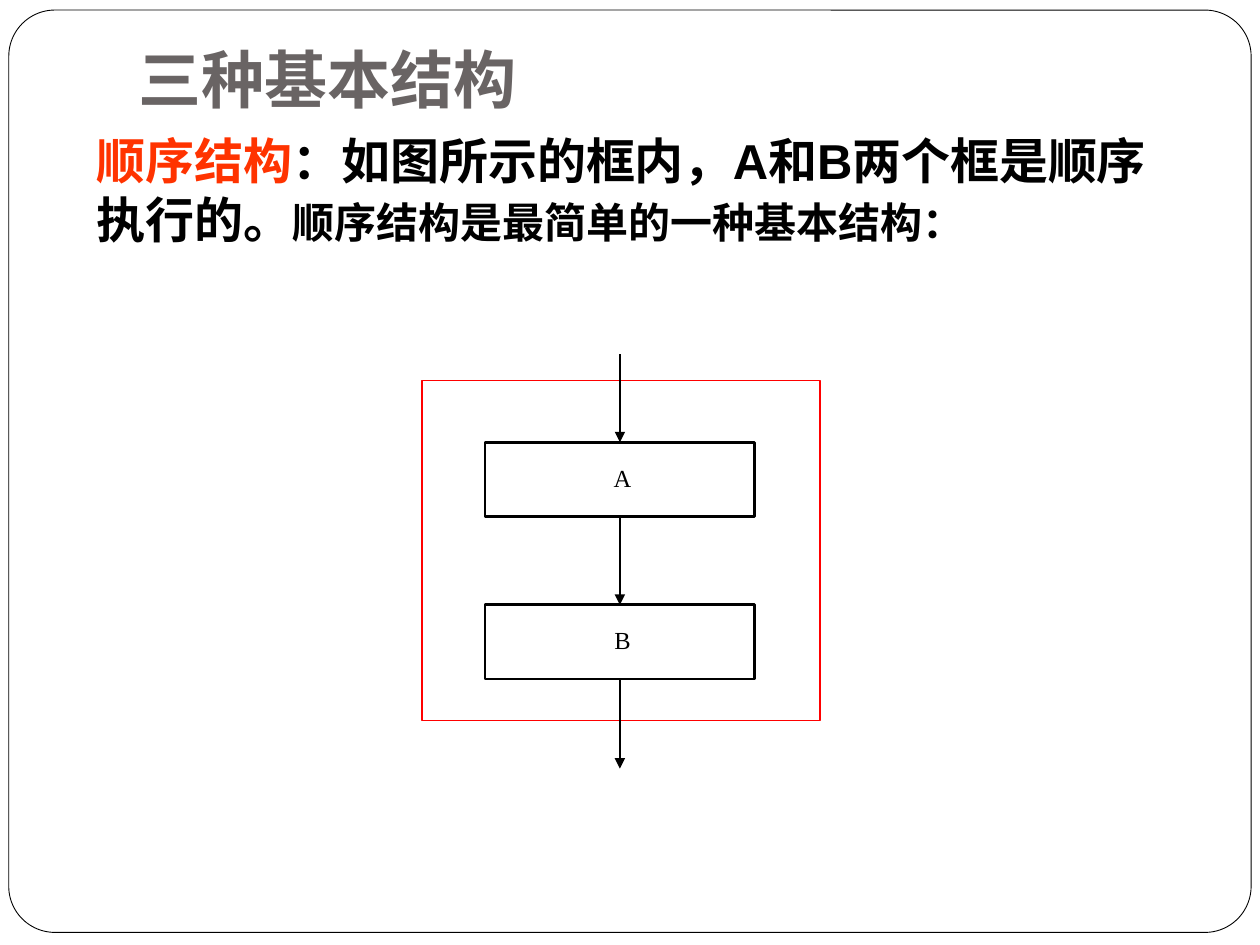
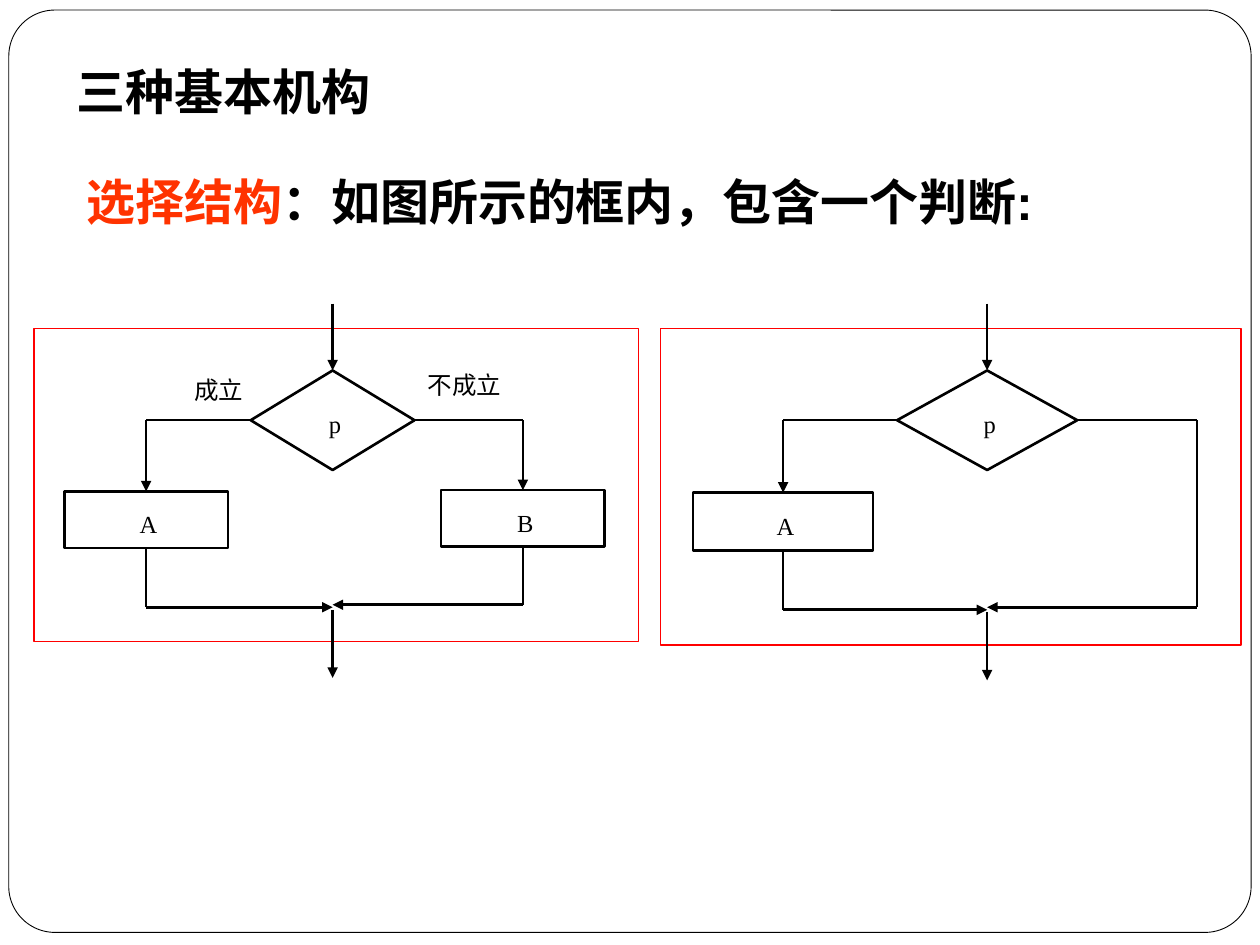
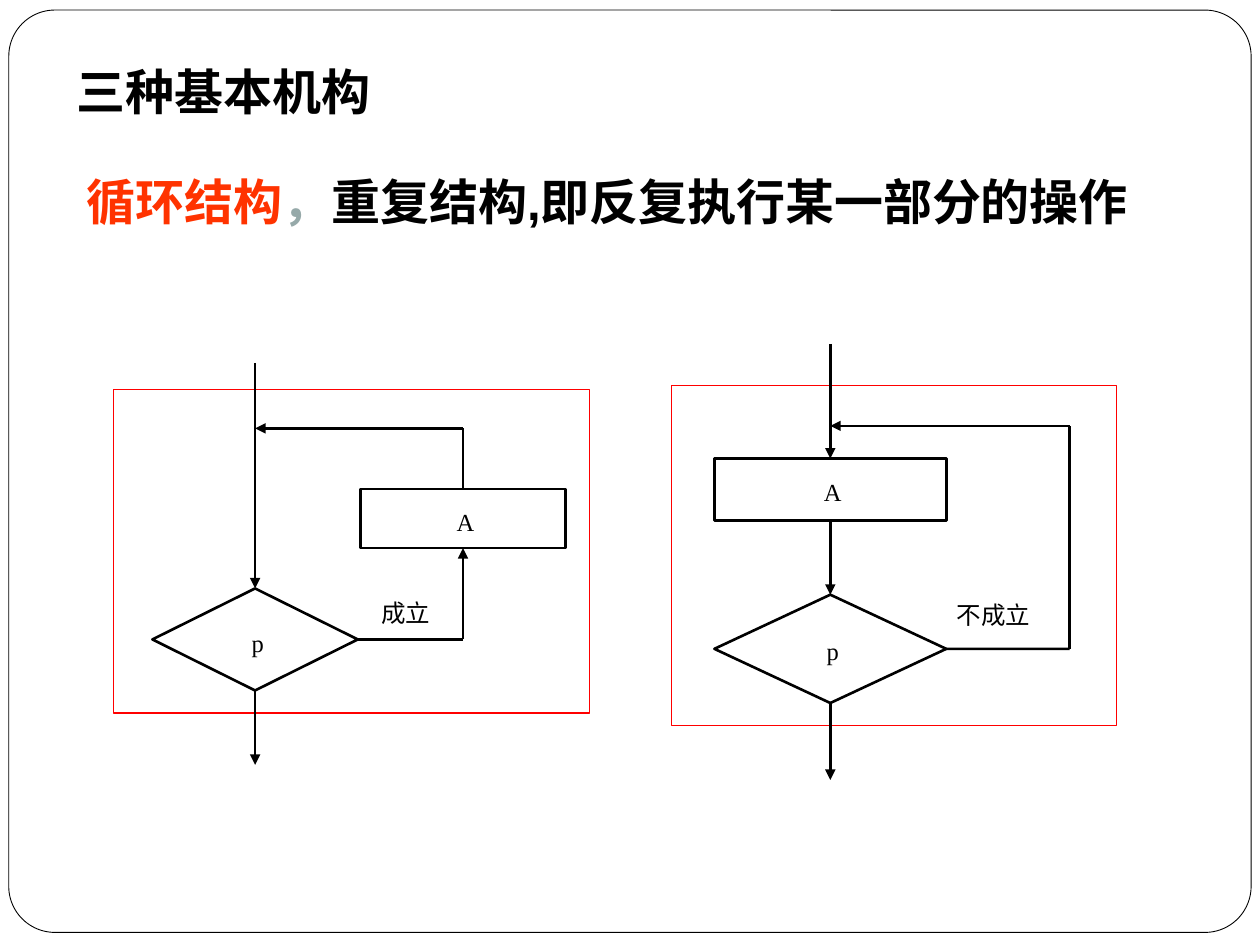
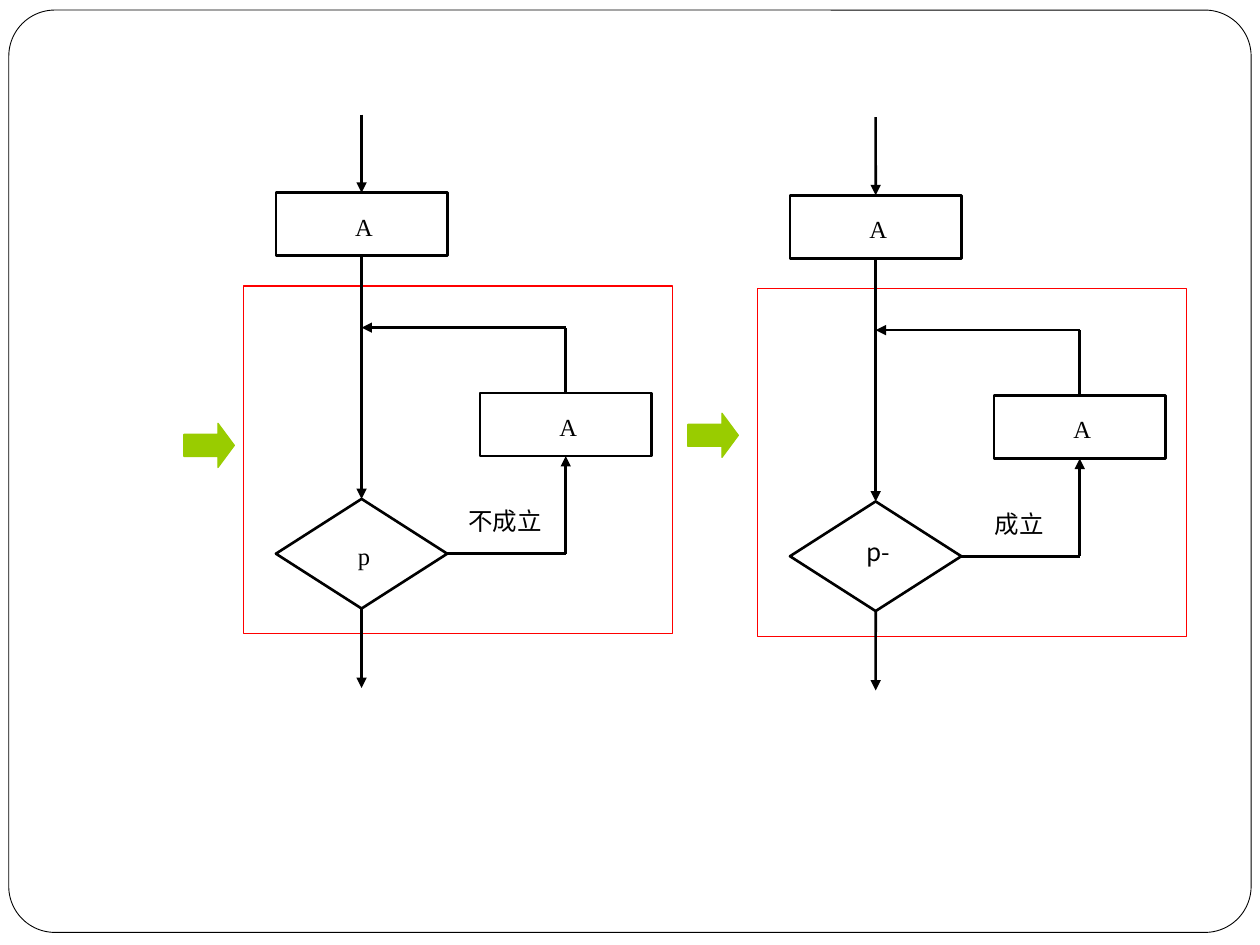
from dataclasses import dataclass
from typing import Any, NamedTuple, Optional

from lxml.etree import SubElement
from pptx import Presentation
from pptx.dml.color import RGBColor
from pptx.enum.shapes import MSO_CONNECTOR, MSO_SHAPE
from pptx.enum.text import MSO_ANCHOR, MSO_AUTO_SIZE, PP_ALIGN
from pptx.oxml.ns import qn
from pptx.util import Inches, Pt


@dataclass(frozen=True)
class Theme:
    ink: str = "000000"
    paper: str = "FFFFFF"
    title: str = "696464"
    key: str = "FF3300"
    pale: str = "96A9A9"
    frame: str = "FF0000"
    arrow: str = "99CC00"
    head: float = 36
    body: float = 28
    small: float = 24
    label: float = 14
    thin: float = 0.5
    fine: float = 0.75
    bold: float = 1.5
    head_font: str = "Cabin"
    body_font: str = "Arial"
    sign_font: str = "Times New Roman"
    han_font: str = "Noto Sans CJK SC"


THEME = Theme()


class Box(NamedTuple):
    x: float
    y: float
    w: float
    h: float

    def move(self, dx: float, dy: float) -> "Box":
        return Box(self.x + dx, self.y + dy, self.w, self.h)

    def emu(self) -> list:
        return [Inches(n) for n in self]


class Run(NamedTuple):
    text: str
    color: str = THEME.ink
    size: float = THEME.body


class Spot(NamedTuple):
    """A point of a wire, joined to a shape when one is given."""
    x: float
    y: float
    shape: Any = None
    site: int = 0


@dataclass
class Block:
    box: Box
    shape: Any

    @property
    def x(self) -> float:
        return self.box.x + self.box.w / 2

    @property
    def y(self) -> float:
        return self.box.y + self.box.h / 2

    @property
    def top(self) -> Spot:
        return Spot(self.x, self.box.y, self.shape, 0)

    @property
    def left(self) -> Spot:
        return Spot(self.box.x, self.y, self.shape, 1)

    @property
    def low(self) -> Spot:
        return Spot(self.x, self.box.y + self.box.h, self.shape, 2)

    @property
    def right(self) -> Spot:
        return Spot(self.box.x + self.box.w, self.y, self.shape, 3)


def rgb(color: str) -> RGBColor:
    return RGBColor.from_string(color)


def write(slide, box: Box, *runs: Run, font: str = THEME.body_font,
          bold: bool = False, align=PP_ALIGN.LEFT, wrap: bool = True,
          fit: bool = False, anchor=MSO_ANCHOR.TOP, foot: float = 0.05) -> None:
    frame = slide.shapes.add_textbox(*box.emu()).text_frame
    frame.word_wrap = wrap
    frame.auto_size = MSO_AUTO_SIZE.SHAPE_TO_FIT_TEXT if fit else MSO_AUTO_SIZE.NONE
    frame.vertical_anchor = anchor
    frame.margin_bottom = Inches(foot)
    para = frame.paragraphs[0]
    para.alignment = align
    for item in runs:
        run = para.add_run()
        run.text = item.text
        run.font.size = Pt(item.size)
        run.font.bold = bold
        run.font.color.rgb = rgb(item.color)
        run.font.name = font
        SubElement(run.font._element, qn("a:ea"), typeface=THEME.han_font)


def draw(slide, kind, box: Box, *, fill: str = THEME.paper,
         line: str = THEME.ink, width: float = THEME.bold):
    shape = slide.shapes.add_shape(kind, *box.emu())
    shape.shadow.inherit = False
    shape.fill.solid()
    shape.fill.fore_color.rgb = rgb(fill)
    shape.line.color.rgb = rgb(line)
    shape.line.width = Pt(width)
    return shape


def fence(slide, box: Box) -> None:
    """Draw the red outline around one structure."""
    draw(slide, MSO_SHAPE.RECTANGLE, box, line=THEME.frame, width=THEME.fine)


def note(slide, box: Box, text: str, font: str = THEME.han_font) -> None:
    write(slide, box, Run(text, size=THEME.label), font=font,
          align=PP_ALIGN.CENTER, wrap=False)


def block(slide, box: Box, text: str, kind=MSO_SHAPE.RECTANGLE,
          tag: tuple = (0.24, 0.32), font: str = THEME.sign_font) -> Block:
    """Draw a flow chart box with its label centred on it."""
    made = Block(box, draw(slide, kind, box))
    wide, tall = tag
    note(slide, Box(made.x - wide / 2 + 0.02, made.y - tall / 2 + 0.01, wide, tall),
         text, font)
    return made


def test(slide, box: Box, text: str = "p", **style) -> Block:
    return block(slide, box, text, MSO_SHAPE.DIAMOND, **style)


def wire(slide, *spots: Spot) -> None:
    """Draw straight lines through the spots, with an arrowhead at the last."""
    for start, end in zip(spots, spots[1:]):
        link = slide.shapes.add_connector(
            MSO_CONNECTOR.STRAIGHT, Inches(start.x), Inches(start.y),
            Inches(end.x), Inches(end.y))
        link.line.color.rgb = rgb(THEME.ink)
        link.line.width = Pt(THEME.bold)
        if start.shape is not None:
            link.begin_connect(start.shape, start.site)
        if end.shape is not None:
            link.end_connect(end.shape, end.site)
        props = link.element.spPr
        if end is spots[-1]:
            SubElement(props.find(qn("a:ln")), qn("a:tailEnd"), type="triangle")
        SubElement(props, qn("a:effectLst"))


def branch(slide, fork: Block, yes: Block, no: Optional[Block],
           side: float, base: float) -> None:
    """Wire a choice whose two ways meet below the fork, at base."""
    wire(slide, Spot(fork.x, 2.41), fork.top)
    wire(slide, fork.left, Spot(yes.x, fork.y), yes.top)
    wire(slide, yes.low, Spot(yes.x, base), Spot(fork.x, base))
    bend, meet = Spot(side, base - 0.02), Spot(fork.x, base - 0.02)
    if no:
        wire(slide, fork.right, Spot(side, fork.y), no.top)
        wire(slide, no.low, bend, meet)
    else:
        wire(slide, fork.right, Spot(side, fork.y), bend, meet)
    wire(slide, Spot(fork.x, base + 0.02), Spot(fork.x, base + 0.56))


def loop(slide, start: Spot, fork: Block, body: Block,
         back: float, end: float) -> None:
    """Wire a loop that tests first and returns at height back."""
    wire(slide, start, fork.top)
    wire(slide, fork.right, Spot(body.x, fork.y), body.low)
    wire(slide, body.top, Spot(body.x, back), Spot(fork.x, back))
    wire(slide, fork.low, Spot(fork.x, end))


def heads(slide, *runs: Run) -> None:
    write(slide, Box(0.51, 0.44, 4.49, 0.57), Run("三种基本机构"), bold=True, fit=True)
    write(slide, Box(0.59, 1.31, 8.9, 0.57), *runs, bold=True, fit=True)


def border(deck, slide) -> None:
    """Put the rounded page border on the master."""
    shape = draw(slide, MSO_SHAPE.ROUNDED_RECTANGLE, Box(0.07, 0.08, 9.86, 7.32),
                 width=THEME.thin)
    shape.adjustments[0] = 0.05
    shape.element.nvSpPr.cNvPr.id = 99
    deck.slide_master.shapes.element.append(shape.element)


def sequence(slide) -> None:
    write(slide, Box(1, 0.3, 8.5, 1.25), Run("三种基本结构", THEME.title, THEME.head),
          font=THEME.head_font, bold=True, anchor=MSO_ANCHOR.BOTTOM, foot=0.63)
    write(slide, Box(0.67, 0.99, 8.9, 1.03), Run("顺序结构", THEME.key),
          Run("：如图所示的框内，A和B两个框是顺序执行的。"),
          Run("顺序结构是最简单的一种基本结构：", size=THEME.small),
          bold=True, fit=True)
    fence(slide, Box(3.35, 3.02, 3.16, 2.7))
    first, last = [block(slide, Box(3.85, y, 2.14, 0.59), text, tag=(0.38, 0.38))
                   for y, text in ((3.51, "A"), (4.8, "B"))]
    wire(slide, Spot(first.x, 2.81), first.top)
    wire(slide, first.low, last.top)
    wire(slide, last.low, Spot(last.x, 6.1))


def choice(slide) -> None:
    heads(slide, Run("选择结构", THEME.key), Run("：如图所示的框内，包含一个判断:"))
    tag = (0.23, 0.29)
    fence(slide, Box(0.27, 2.61, 4.8, 2.48))
    fork = test(slide, Box(1.99, 2.94, 1.3, 0.79), tag=tag)
    yes = block(slide, Box(0.51, 3.9, 1.3, 0.45), "A", tag=tag)
    no = block(slide, Box(3.5, 3.89, 1.3, 0.45), "B", tag=tag)
    branch(slide, fork, yes, no, no.x, 4.82)
    note(slide, Box(3.29, 2.89, 0.79, 0.29), "不成立")
    note(slide, Box(1.48, 2.93, 0.51, 0.29), "成立")

    fence(slide, Box(5.24, 2.61, 4.61, 2.51))
    fork = test(slide, Box(7.12, 2.94, 1.43, 0.79), tag=tag)
    yes = block(slide, Box(5.5, 3.91, 1.43, 0.46), "A", tag=tag)
    branch(slide, fork, yes, None, 9.5, 4.84)


def repeat(slide) -> None:
    heads(slide, Run("循环结构", THEME.key), Run("，", THEME.pale),
          Run("重复结构,即反复执行某一部分的操作"))
    tag = (0.29, 0.3)
    fence(slide, Box(0.9, 3.09, 3.78, 2.57))
    fork = test(slide, Box(1.21, 4.67, 1.63, 0.81), tag=tag)
    body = block(slide, Box(2.86, 3.88, 1.63, 0.47), "A", tag=tag)
    loop(slide, Spot(fork.x, 2.88), fork, body, 3.4, 6.07)
    note(slide, Box(2.9, 4.7, 0.64, 0.3), "成立")

    tag = (0.33, 0.32)
    fence(slide, Box(5.33, 3.06, 3.53, 2.7))
    body = block(slide, Box(5.67, 3.64, 1.84, 0.49), "A", tag=tag)
    fork = test(slide, Box(5.67, 4.72, 1.84, 0.86), tag=tag)
    wire(slide, Spot(body.x, 2.73), body.top)
    wire(slide, body.low, fork.top)
    wire(slide, fork.right, Spot(8.49, fork.y), Spot(8.49, 3.38), Spot(fork.x, 3.38))
    wire(slide, fork.low, Spot(fork.x, 6.19))
    note(slide, Box(7.33, 4.71, 1.11, 0.32), "不成立")


def unroll(slide, dx: float, dy: float, **style) -> None:
    """Draw a loop whose body also runs once ahead of it."""
    fence(slide, Box(1.93, 2.27, 3.41, 2.76).move(dx, dy))
    first = block(slide, Box(2.19, 1.53, 1.36, 0.5).move(dx, dy), "A")
    body = block(slide, Box(3.81, 3.12, 1.36, 0.5).move(dx, dy), "A")
    fork = test(slide, Box(2.19, 3.96, 1.36, 0.87).move(dx, dy), **style)
    wire(slide, Spot(first.x, 0.91 + dy), first.top)
    loop(slide, first.low, fork, body, 2.6 + dy, 5.46 + dy)


def equal(slide) -> None:
    unroll(slide, 0, 0)
    unroll(slide, 4.08, 0.02, text="p-", tag=(0.54, 0.42), font=THEME.han_font)
    note(slide, Box(3.6, 3.97, 0.82, 0.32), "不成立")
    note(slide, Box(7.82, 3.99, 0.54, 0.32), "成立")
    for x, y in ((5.46, 3.28), (1.46, 3.36)):
        mark = draw(slide, MSO_SHAPE.RIGHT_ARROW, Box(x, y, 0.4, 0.35),
                    fill=THEME.arrow, line=THEME.arrow, width=THEME.fine)
        mark.adjustments[1] = 0.37


def main() -> None:
    deck = Presentation()
    deck.slide_width, deck.slide_height = Inches(10), Inches(7.5)
    blank = deck.slide_layouts[6]
    scenes = (sequence, choice, repeat, equal)
    pages = [deck.slides.add_slide(blank) for _ in scenes]
    border(deck, pages[0])
    for scene, page in zip(scenes, pages):
        scene(page)
    deck.save("out.pptx")


if __name__ == "__main__":
    main()
